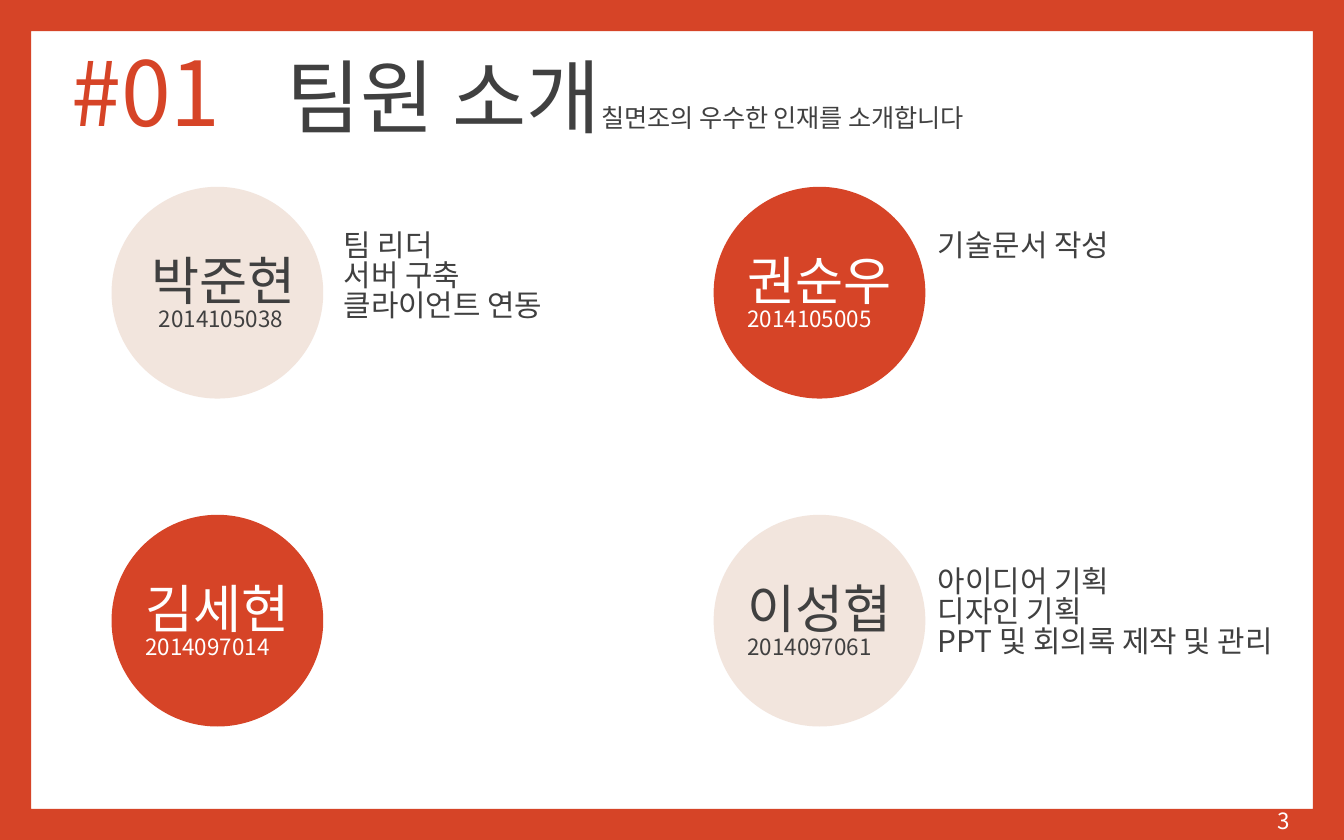
import pptx
import pptx.dml.color
import pptx.enum.shapes
import pptx.enum.text
import pptx.oxml
import pptx.oxml.ns
import pptx.util
from dataclasses import dataclass

Pt = pptx.util.Pt
Align = pptx.enum.text.PP_ALIGN
Anchor = pptx.enum.text.MSO_ANCHOR
Preset = pptx.enum.shapes.MSO_SHAPE


@dataclass(frozen=True)
class Theme:
    font: str = "Noto Sans CJK KR"
    accent: str = "D64427"
    pale: str = "F2E5DD"
    ink: str = "404040"
    white: str = "FFFFFF"
    number_size: float = 48
    title_size: float = 43.2
    subtitle_size: float = 13.5
    name_size: float = 28
    role_size: float = 16
    small_size: float = 12


THEME = Theme()
COLUMNS = (59.76, 382.3)
ROWS = (100.1, 275.8)
BADGE = 113.4
ROLE_TOPS = (121, 301)
ROLE_LEFTS = (177.1, 495.4)

MEMBERS = (
    (0, 0, "박준현", "2014105038 ", False, Align.CENTER,
     ("팀 리더", "서버 구축", "클라이언트 연동")),
    (1, 0, "권순우", "2014105005", True, Align.LEFT, ("기술문서 작성",)),
    (0, 1, "김세현", "2014097014", True, Align.LEFT, ()),
    (1, 1, "이성협", "2014097061", False, Align.LEFT,
     ("아이디어 기획", "디자인 기획", "PPT 및 회의록 제작 및 관리")),
)


def apply(target, values):
    for name, value in values.items():
        setattr(target, name, value)


def place(holder, left, top, width, height):
    apply(holder, {"left": Pt(left), "top": Pt(top),
                   "width": Pt(width), "height": Pt(height)})


def add_run(paragraph, text, size, color):
    run = paragraph.add_run()
    run.text = text
    apply(run.font, {"size": Pt(size), "name": THEME.font})
    run.font.color.rgb = pptx.dml.color.RGBColor.from_string(color)
    east_asian = pptx.oxml.parse_xml(
        f'<a:ea {pptx.oxml.ns.nsdecls("a")} typeface="{THEME.font}"/>')
    run.font.color
    run._r.get_or_add_rPr().append(east_asian)


def write(holder, lines, anchor=Anchor.TOP, align=Align.LEFT):
    frame = holder.text_frame
    apply(frame, {"word_wrap": True, "vertical_anchor": anchor,
                  "auto_size": pptx.enum.text.MSO_AUTO_SIZE.NONE})
    for index, (spacing, runs) in enumerate(lines):
        paragraph = frame.add_paragraph() if index else frame.paragraphs[0]
        apply(paragraph, {"alignment": align, "line_spacing": spacing,
                          "space_before": Pt(0)})
        for text, size, color in runs:
            add_run(paragraph, text, size, color)


def add_text(shapes, box, lines, **layout):
    write(shapes.add_textbox(*map(Pt, box)), lines, **layout)


def add_filled(shapes, preset, box, color):
    shape = shapes.add_shape(preset, *map(Pt, box))
    shape.shadow.inherit = False
    shape.fill.solid()
    shape.fill.fore_color.rgb = pptx.dml.color.RGBColor.from_string(color)
    shape.line.fill.background()
    return shape


def add_border(slide):
    border = add_filled(slide.shapes, Preset.FRAME, (0, 0, 720, 450), THEME.accent)
    border.adjustments[0] = 0.037
    slide.shapes.title.element.addprevious(border.element)


def add_heading(slide):
    title, number = slide.placeholders
    place(title, 146.2, 26.6, 399.6, 55.4)
    write(title, [(0.92, [
        ("팀원 소개", THEME.title_size, THEME.ink),
        ("칠면조의 우수한 인재를 소개합니다", THEME.subtitle_size, THEME.ink),
    ])], anchor=Anchor.MIDDLE)
    place(number, 31, 23.8, 126, 56.2)
    write(number, [(0.88, [("#01", THEME.number_size, THEME.accent)])])
    properties = number.text_frame.paragraphs[0]._p.get_or_add_pPr()
    apply(properties, {"marL": 0, "indent": 0} if hasattr(properties, "marL") else {})
    properties.set("marL", "0")
    properties.set("indent", "0")
    properties.append(pptx.oxml.parse_xml(
        f'<a:buNone {pptx.oxml.ns.nsdecls("a")}/>'))


def add_badge(slide, left, top, name, student_id, strong, align):
    fill, ink = (THEME.accent, THEME.white) if strong else (THEME.pale, THEME.ink)
    badge = slide.shapes.add_group_shape()
    add_filled(badge.shapes, Preset.OVAL, (left, top, BADGE, BADGE), fill)
    add_text(badge.shapes, (left + 11, top + 29.5, 98, 55.4), [
        (0.89, [(name, THEME.name_size, ink)]),
        (0.75, [(student_id, THEME.small_size, ink)]),
    ], anchor=Anchor.MIDDLE, align=align)


def add_roles(slide, left, top, roles):
    lines = [(0.84, [(role, THEME.role_size, THEME.ink)]) for role in roles]
    add_text(slide.shapes, (left, top, 204.5, 64), lines)


def main():
    deck = pptx.Presentation()
    apply(deck, {"slide_width": Pt(720), "slide_height": Pt(450)})
    slide = deck.slides.add_slide(deck.slide_layouts[1])
    add_border(slide)
    add_heading(slide)
    for column, row, name, student_id, strong, align, roles in MEMBERS:
        add_badge(slide, COLUMNS[column], ROWS[row], name, student_id, strong, align)
        if roles:
            add_roles(slide, ROLE_LEFTS[column], ROLE_TOPS[row], roles)
    add_text(slide.shapes, (530.6, 427.7, 167.8, 23.8),
             [(1.0, [("3", THEME.small_size, THEME.white)])],
             anchor=Anchor.MIDDLE, align=Align.RIGHT)
    deck.save("out.pptx")


if __name__ == "__main__":
    main()
